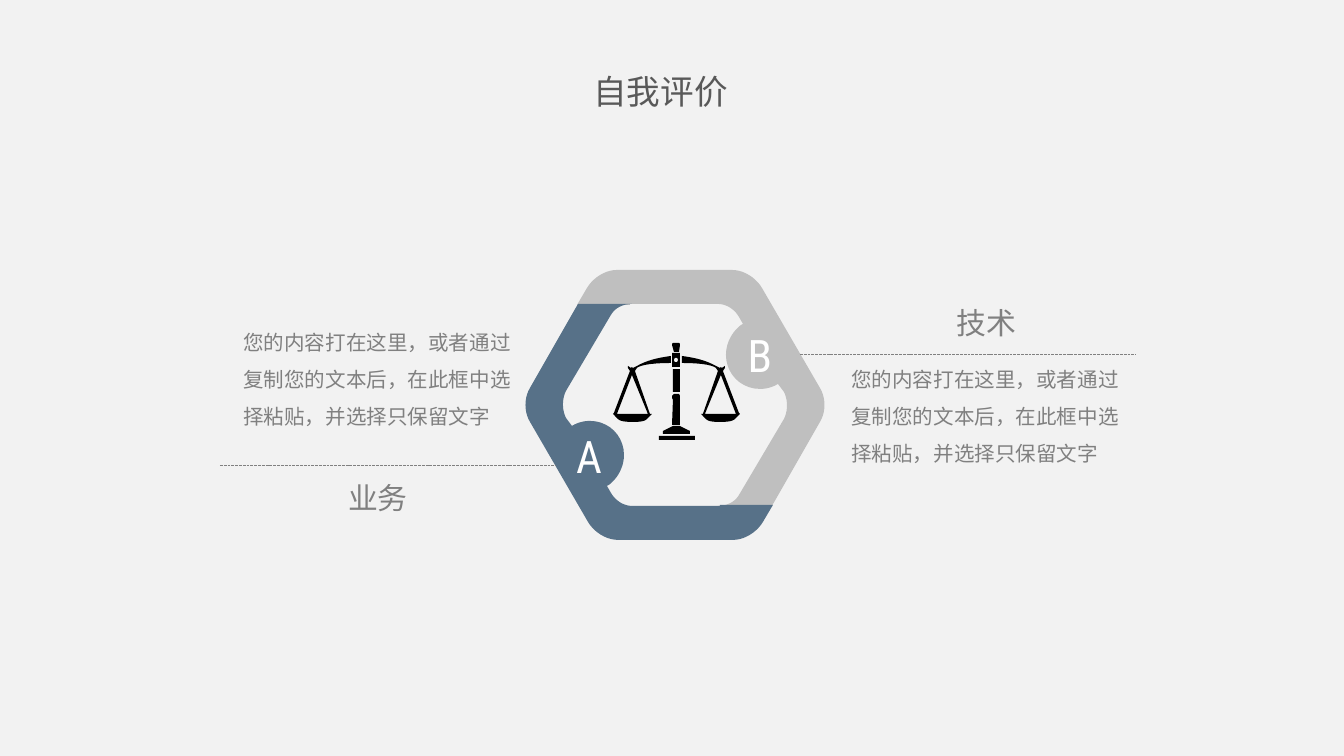
from dataclasses import dataclass

from lxml.etree import SubElement
from pptx import Presentation
from pptx.dml.color import RGBColor as Rgb
from pptx.enum.dml import MSO_LINE as Dash
from pptx.enum.shapes import MSO_CONNECTOR as Wire, MSO_SHAPE as Kind
from pptx.enum.text import MSO_AUTO_SIZE as Auto, PP_ALIGN as Align
from pptx.oxml.ns import qn
from pptx.util import Pt

SCALE = 914400 / 134.4


@dataclass(frozen=True)
class Theme:
    """Colours, fonts and type sizes."""
    back: str = "F2F2F2"
    light: str = "BFBFBF"
    blue: str = "577188"
    ink: str = "000000"
    white: str = "FFFFFF"
    gray: str = "808080"
    dark: str = "595959"
    hans: str = "Noto Sans CJK SC"
    latin: str = "Roboto Condensed"
    body: int = 11
    head: int = 16
    title: int = 18
    badge: int = 24


def emu(px):
    """Turn pixels into EMU."""
    return round(px * SCALE)


def trace(steps, count=10):
    """Turn corners (x, y) and curves (two controls, end) into points."""
    points = []
    for step in steps:
        if len(step) == 2:
            points.append(step)
            continue
        (ax, ay), (bx, by, cx, cy, dx, dy) = points[-1], step
        for i in range(1, count + 1):
            t = i / count
            u = 1 - t
            a, b, c, d = u ** 3, 3 * u * u * t, 3 * u * t * t, t ** 3
            points.append((a * ax + b * bx + c * cx + d * dx,
                           a * ay + b * by + c * cy + d * dy))
    return points


class Deck:
    """Holds the style and the current slide."""

    def __init__(self, theme, wide, high):
        """Open a deck with one blank slide."""
        self.theme = theme
        self.show = Presentation()
        self.show.slide_width, self.show.slide_height = emu(wide), emu(high)
        self.slide = self.show.slides.add_slide(self.show.slide_layouts[6])
        self.shapes = self.slide.shapes
        fill = self.slide.background.fill
        fill.solid()
        fill.fore_color.rgb = Rgb.from_string(theme.back)

    def group(self):
        """Send the shapes that follow into a new group."""
        self.shapes = self.slide.shapes.add_group_shape().shapes

    def ungroup(self):
        """Send the shapes that follow to the slide."""
        self.shapes = self.slide.shapes

    def paint(self, shape, color):
        """Give a shape a flat fill without line or shadow."""
        shape.shadow.inherit = False
        shape.fill.solid()
        shape.fill.fore_color.rgb = Rgb.from_string(color)
        shape.line.fill.background()

    def box(self, x, y, w, h, color):
        """Draw a rectangle."""
        shape = self.shapes.add_shape(Kind.RECTANGLE, *map(emu, (x, y, w, h)))
        self.paint(shape, color)

    def form(self, color, *rings):
        """Draw an outline; further rings are holes."""
        pen = None
        for ring in rings:
            first, *rest = [(emu(x), emu(y)) for x, y in ring]
            if pen is None:
                pen = self.shapes.build_freeform(*first, scale=1.0)
            else:
                pen.move_to(*first)
            pen.add_line_segments(rest, close=True)
        self.paint(pen.convert_to_shape(), color)

    def line(self, x, y, w):
        """Draw a level dashed line."""
        wire = self.shapes.add_connector(
            Wire.STRAIGHT, emu(x), emu(y), emu(x + w), emu(y))
        wire.line.color.rgb = Rgb.from_string(self.theme.gray)
        wire.line.width = Pt(0.5)
        wire.line.dash_style = Dash.SQUARE_DOT
        SubElement(wire._element.spPr, qn("a:effectLst"))

    def text(self, x, y, w, h, words, size, color, font=None,
             align=Align.LEFT, lead=1.0, wrap=True):
        """Place one paragraph of text."""
        frame = self.shapes.add_textbox(*map(emu, (x, y, w, h))).text_frame
        frame.word_wrap = wrap
        frame.auto_size = Auto.SHAPE_TO_FIT_TEXT
        para = frame.paragraphs[0]
        para.alignment = align
        para.line_spacing = lead
        run = para.add_run()
        run.text = words
        run.font.size = Pt(size)
        run.font.color.rgb = Rgb.from_string(color)
        run.font.name = font or self.theme.hans
        SubElement(run._r.rPr, qn("a:ea"), typeface=run.font.name)

    def save(self):
        """Write the file."""
        self.show.save("out.pptx")


BAND = trace([
    (577, 305), (587, 288), (593, 278, 605, 270, 617, 270),
    (732, 270), (744, 270, 756, 278, 762, 288),
    (820, 388), (826, 398, 826, 412, 820, 422),
    (772, 506), (718, 506), (727, 506, 735, 502, 739, 495),
    (784, 419), (788, 411, 788, 400, 784, 392), (778, 384),
    (773, 387, 767, 389, 760, 389), (741, 389, 726, 374, 726, 355),
    (726, 343, 732, 332, 741, 325), (743, 324),
    (739, 317), (735, 310, 727, 304, 718, 304), (630, 304), (630, 305)])

PAN = trace([
    (650, 414), (635, 371), (637, 368), (637, 368, 641, 363, 671, 363),
    (671, 356), (664, 357, 649, 359, 637, 366), (633, 368), (632, 367),
    (631, 368), (628, 366), (628, 368), (630, 371), (614, 413), (613, 414),
    (618, 419), (620, 421, 624, 422, 633, 422),
    (642, 422, 645, 421, 647, 419), (652, 414)])
GAP = [(617, 414), (632, 375), (648, 414)]

HUB = [(672, 353), (680, 353), (680, 367), (672, 367)]
HOLE = trace([(674, 360), (674, 357, 678, 357, 678, 360),
              (678, 363, 674, 363, 674, 360)])
CAP = [(674, 352), (679, 352), (680, 345), (680, 344), (679, 343),
       (673, 343), (672, 344), (672, 345)]
STEM = [(672, 396), (674, 394), (679, 394), (680, 396), (680, 398),
        (680, 425), (672, 425), (673, 400), (672, 398)]
FOOT = [(663, 434), (690, 434), (690, 431), (680, 426), (673, 426),
        (663, 431)]
BODY = "您的内容打在这里，或者通过复制您的文本后，在此框中选择粘贴，并选择只保留文字"


def turn(ring):
    """Turn a ring half round the middle of the hexagon."""
    return [(1350 - x, 810 - y) for x, y in ring]


def flip(ring):
    """Mirror a ring across the post of the balance."""
    return [(1353 - x, y) for x, y in ring]


def balance(deck):
    """Draw the balance as one group."""
    ink = deck.theme.ink
    deck.group()
    deck.form(ink, HUB, HOLE)
    deck.box(673, 369, 7, 23, ink)
    deck.box(659, 436, 36, 4, ink)
    for ring in (FOOT, STEM, CAP):
        deck.form(ink, ring)
    deck.form(ink, PAN, GAP)
    deck.form(ink, flip(PAN), flip(GAP))
    deck.ungroup()


def main():
    """Build the slide."""
    look = Theme()
    deck = Deck(look, 1344, 756)
    for ring, color, mark, x, y in ((BAND, look.light, "B", 701, 321),
                                    (turn(BAND), look.blue, "A", 530, 422)):
        deck.form(color, ring)
        deck.text(x, y, 118, 67, mark, look.badge, look.white, look.latin,
                  Align.CENTER)
    balance(deck)
    for rule, body, head, name in (
            ((800, 354), (838, 348), (943, 298), "技术"),
            ((220, 466), (230, 311), (335, 473), "业务")):
        deck.line(*rule, 336)
        deck.text(*body, 297, 125, BODY, look.body, look.gray, lead=1.5)
        deck.text(*head, 88, 50, name, look.head, look.gray, wrap=False)
    deck.text(510, 64, 301, 54, "自我评价", look.title, look.dark,
              align=Align.CENTER)
    deck.save()


main()
